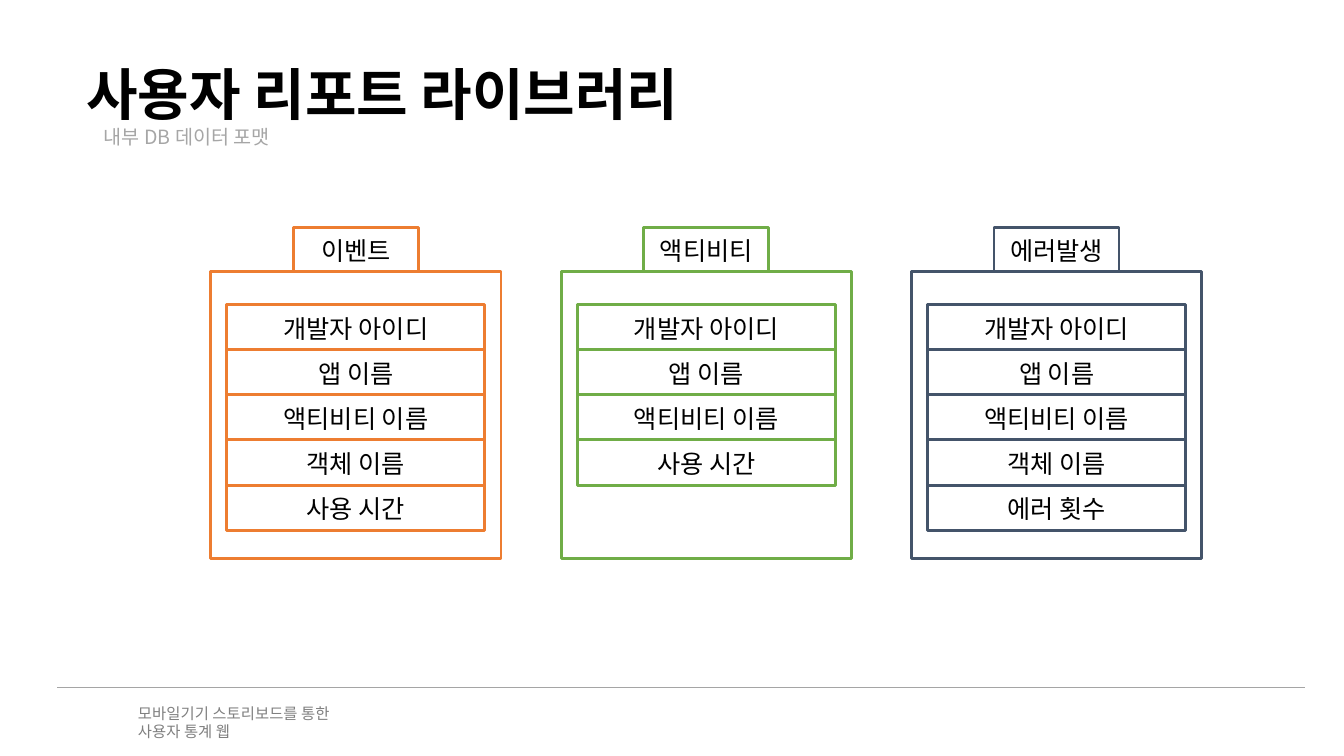
"""Build the slide on the record formats of the user report library."""
from lxml import etree
from pptx import Presentation
from pptx.dml.color import RGBColor
from pptx.enum.shapes import MSO_CONNECTOR as CONNECTOR, MSO_SHAPE as SHAPE
from pptx.enum.text import MSO_ANCHOR as ANCHOR, PP_ALIGN as ALIGN
from pptx.oxml.ns import qn
from pptx.util import Inches, Pt

FONT = "Noto Sans CJK KR"
COLORS = {
    "black": "000000",
    "subtitle": "A6A6A6",
    "footer": "808080",
    "rule": "A5A5A5",
    "orange": "ED7D31",
    "green": "70AD47",
    "navy": "44546A",
}
RECORDS = [
    ("이벤트", "orange", ["개발자 아이디", "앱 이름", "액티비티 이름", "객체 이름", "사용 시간"]),
    ("액티비티", "green", ["개발자 아이디", "앱 이름", "액티비티 이름", "사용 시간"]),
    ("에러발생", "navy", ["개발자 아이디", "앱 이름", "액티비티 이름", "객체 이름", "에러 횟수"]),
]


def write_text(shape, text, size=18, color="black", bold=False,
               align=ALIGN.LEFT, anchor=ANCHOR.TOP):
    frame = shape.text_frame
    frame.word_wrap = True
    frame.vertical_anchor = anchor
    frame.margin_top = Inches(0.05) + Pt(size * 0.12)
    frame.text = text
    for paragraph in frame.paragraphs:
        paragraph.alignment = align
        paragraph.line_spacing = Pt(size * 1.17)
        for run in paragraph.runs:
            run.font.name = FONT
            run.font.size = Pt(size)
            run.font.bold = bold
            run.font.color.rgb = RGBColor.from_string(COLORS[color])
            east_asian = etree.SubElement(run.font._element, qn("a:ea"))
            east_asian.set("typeface", FONT)


def add_box(left, top, width, height, color):
    box = slide.shapes.add_shape(
        SHAPE.RECTANGLE, Inches(left), Inches(top), Inches(width), Inches(height))
    box.shadow.inherit = False
    box.fill.background()
    box.line.color.rgb = RGBColor.from_string(COLORS[color])
    box.line.width = Pt(2)
    return box


presentation = Presentation()
presentation.slide_width = Inches(13.33)
presentation.slide_height = Inches(7.5)
slide = presentation.slides.add_slide(presentation.slide_layouts[6])

title = slide.shapes.add_textbox(Inches(0.76), Inches(0.49), Inches(6.63), Inches(0.77))
write_text(title, "사용자 리포트 라이브러리", size=40, bold=True)

rule = slide.shapes.add_connector(
    CONNECTOR.STRAIGHT, Inches(0.57), Inches(6.82), Inches(12.94), Inches(6.82))
rule.line.color.rgb = RGBColor.from_string(COLORS["rule"])
rule.line.width = Pt(0.5)
etree.SubElement(rule._element.spPr, qn("a:effectLst"))

footer = slide.shapes.add_textbox(Inches(1.27), Inches(6.92), Inches(3.54), Inches(0.47))
write_text(footer, "모바일기기 스토리보드를 통한\n사용자 통계 웹", size=11, color="footer")

subtitle = slide.shapes.add_textbox(Inches(0.93), Inches(1.17), Inches(4.42), Inches(0.34))
write_text(subtitle, "내부 DB 데이터 포맷", size=14, color="subtitle")

for column, (name, color, fields) in enumerate(RECORDS):
    left = 2.09 + column * 3.475
    add_box(left, 2.69, 2.88, 2.85, color)
    tab = add_box(left + 0.82, 2.26, 1.24, 0.43, color)
    write_text(tab, name, align=ALIGN.CENTER, anchor=ANCHOR.MIDDLE)
    for row, field in enumerate(fields):
        cell = add_box(left + 0.16, 3.02 + row * 0.448, 2.56, 0.45, color)
        write_text(cell, field, align=ALIGN.CENTER, anchor=ANCHOR.MIDDLE)

presentation.save("out.pptx")
